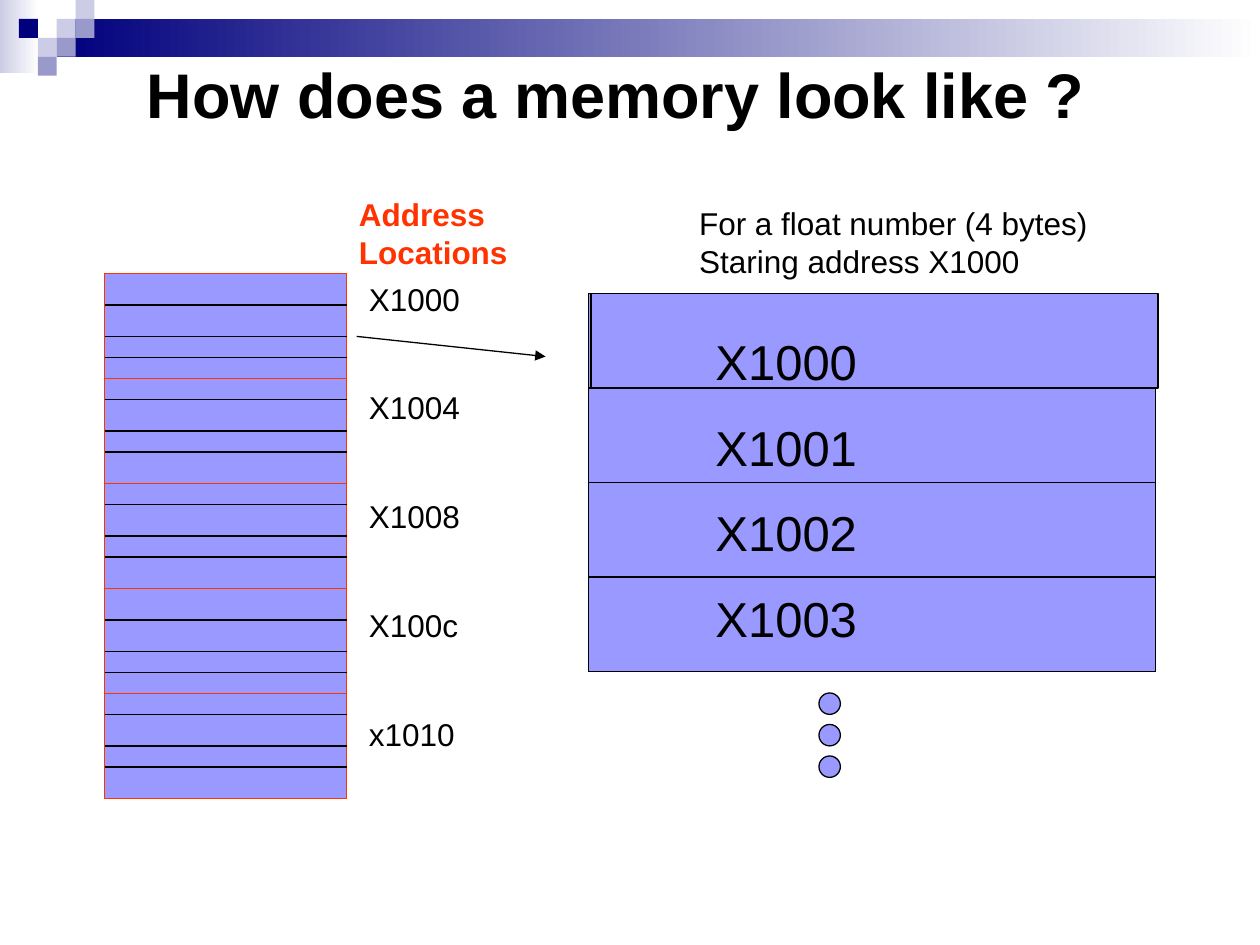
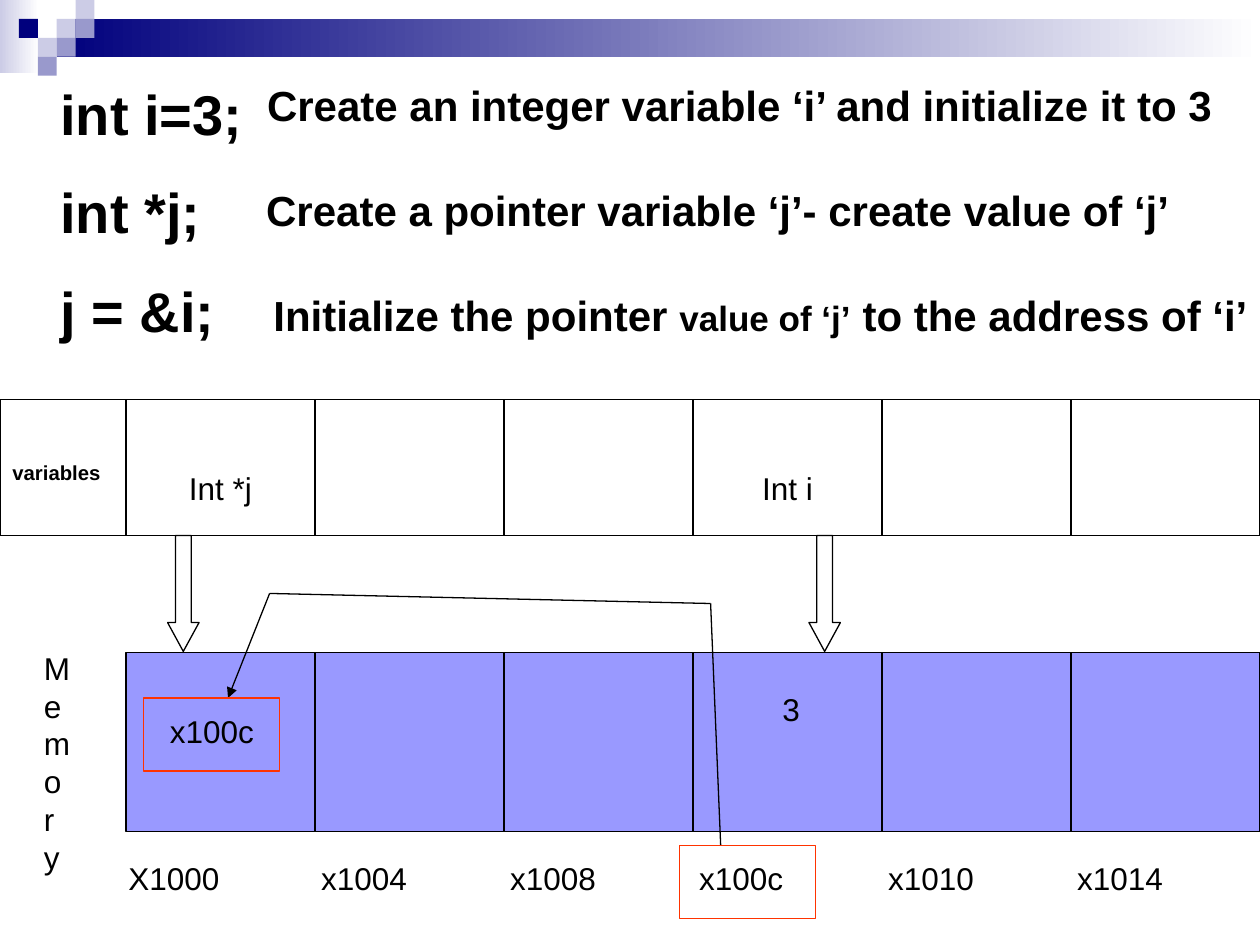
from lxml.etree import SubElement
from pptx import Presentation
from pptx.dml.color import RGBColor
from pptx.enum.shapes import MSO_CONNECTOR, MSO_SHAPE
from pptx.enum.text import MSO_ANCHOR, MSO_AUTO_SIZE, PP_ALIGN
from pptx.oxml.ns import qn
from pptx.util import Inches, Pt

BLACK = RGBColor(0x00, 0x00, 0x00)
WHITE = RGBColor(0xFF, 0xFF, 0xFF)
RED = RGBColor(0xFF, 0x33, 0x00)
MEMORY_BLUE = RGBColor(0x99, 0x99, 0xFF)
NAVY = RGBColor(0x00, 0x00, 0x7D)
LAVENDER = RGBColor(0xCC, 0xCC, 0xE6)
SLATE = RGBColor(0x99, 0x99, 0xCC)

FONT = "Arial"
LINE_WIDTH = Pt(0.75)
TILE = 0.15
TITLE_ONLY, TITLE_AND_CONTENT = 5, 1


# Shared helpers: boxes are (left, top, width, height) in inches
def add_box(slide, box, fill=None, line=None, kind=MSO_SHAPE.RECTANGLE):
    shape = slide.shapes.add_shape(kind, *map(Inches, box))
    shape.shadow.inherit = False
    if fill is None:
        shape.fill.background()
    else:
        shape.fill.solid()
        shape.fill.fore_color.rgb = fill
    if line is None:
        shape.line.fill.background()
    else:
        shape.line.color.rgb = line
        shape.line.width = LINE_WIDTH
    return shape


def add_line(slide, start, end, arrow=False):
    line = slide.shapes.add_connector(
        MSO_CONNECTOR.STRAIGHT, *map(Inches, (*start, *end)))
    line.line.color.rgb = BLACK
    line.line.width = LINE_WIDTH
    if arrow:
        ln = line.element.spPr.find(qn("a:ln"))
        SubElement(ln, qn("a:tailEnd"), type="triangle")
    SubElement(line.element.spPr, qn("a:effectLst"))


def write(shape, paragraphs, size, bold=False, color=BLACK,
          align=PP_ALIGN.LEFT, gap=0, wrap=True):
    """Fill a shape; a paragraph is a string or a list of (text, size) runs."""
    frame = shape.text_frame
    frame.word_wrap = wrap
    frame.auto_size = MSO_AUTO_SIZE.NONE
    frame.vertical_anchor = MSO_ANCHOR.TOP
    for index, content in enumerate(paragraphs):
        paragraph = frame.add_paragraph() if index else frame.paragraphs[0]
        paragraph.alignment = align
        paragraph.space_before = Pt(gap if index else 0)
        runs = [(content, size)] if isinstance(content, str) else content
        for text, run_size in runs:
            run = paragraph.add_run()
            run.text = text
            run.font.name = FONT
            run.font.size = Pt(run_size)
            run.font.bold = bold
            run.font.color.rgb = color


def add_text(slide, box, paragraphs, size, **style):
    label = slide.shapes.add_textbox(*map(Inches, box))
    write(label, paragraphs, size, **style)
    return label


def place(placeholder, box):
    (placeholder.left, placeholder.top,
     placeholder.width, placeholder.height) = map(Inches, box)


# Gradient band and tiles, moved to the master so that every slide has them
def add_master_band(prs, slide):
    parts = []
    for box, color in (((0, 0, 0.31, 0.58), LAVENDER),
                       ((0.45, 0.15, 9.55, 0.3), NAVY)):
        band = add_box(slide, box)
        band.fill.gradient()
        band.fill.gradient_angle = 0
        for stop, stop_color in zip(band.fill.gradient_stops, (color, WHITE)):
            stop.color.rgb = stop_color
        parts.append(band)
    tiles = ((3, 1, LAVENDER), (4, 0, LAVENDER), (4, 1, SLATE),
             (2, 2, LAVENDER), (1, 1, NAVY), (3, 2, SLATE), (2, 3, SLATE))
    for column, row, color in tiles:
        parts.append(add_box(
            slide, (column * TILE, row * TILE, TILE, TILE), color))
    for number, part in enumerate(parts, 100):
        part.element.nvSpPr.cNvPr.id = number
        prs.slide_master.shapes.element.append(part.element)


# Slide 1: the memory column, four bytes to a word
def add_memory_column(slide, left, top, width):
    twelfth = 1 / 12
    word_height = 10 * twelfth
    early, late = (2, 5, 7), (3, 6, 8)
    words = (late, early, early, late, early)
    word_tops = [top + index * word_height for index in range(len(words))]
    for word_top in word_tops:
        add_box(slide, (left, word_top, width, word_height), MEMORY_BLUE, RED)
    for word_top, dividers in zip(word_tops, words):
        for divider in dividers:
            y = word_top + divider * twelfth
            add_line(slide, (left, y), (left + width, y))

    # Addresses beside the column
    add_text(slide, (left + width, top - 0.67, 2.25, 0.7),
             ["Address Locations"], 18, bold=True, color=RED)
    add_text(slide, (left + width + 0.08, top, 1.25, 4.01),
             ["X1000", "X1004", "X1008", "X100c", "x1010"], 18, gap=40.6)


# Slide 1: the bytes of one word, enlarged
def add_float_bytes(slide, left, top, width):
    byte_height = 0.75
    add_box(slide, (left, top, width, 4 * byte_height), MEMORY_BLUE, BLACK)
    for index in range(4):
        nudge = 0 if index else 0.02
        add_box(slide, (left + nudge, top + index * byte_height,
                        width, byte_height), MEMORY_BLUE, BLACK)
    add_text(slide, (left + 0.91, top + 0.25, 2.5, 2.67),
             ["X1000", "X1001", "X1002", "X1003"], 28, gap=15.4)
    for index in range(3):
        add_box(slide, (left + 1.83, top + 3.17 + index * 0.25, 0.17, 0.17),
                MEMORY_BLUE, BLACK, MSO_SHAPE.OVAL)
    add_text(slide, (left + 0.78, top - 0.76, 3.28, 0.7),
             ["For a float number (4 bytes)", "Staring address X1000"],
             18, wrap=False)


def build_memory_slide(slide):
    title = slide.shapes.title
    place(title, (1, 0.39, 7.78, 0.7))
    write(title, ["How does a memory look like ?"], 36, bold=True,
          align=PP_ALIGN.CENTER)
    add_memory_column(slide, 0.83, 2.17, 1.92)
    add_float_bytes(slide, 4.67, 2.33, 4.5)
    add_line(slide, (2.83, 2.67), (4.33, 2.83), arrow=True)


# Slide 2: statements with their explanations
def add_statements(slide, left, top):
    title, statements = slide.placeholders
    title.element.getparent().remove(title.element)
    place(statements, (left, top, 3.84, 2.23))
    write(statements, ["int i=3;", "int *j;", "j = &i;"], 32,
          bold=True, gap=17.8)
    for p in statements.element.iter(qn("a:p")):
        properties = p.get_or_add_pPr()
        properties.set("marL", "0")
        properties.set("indent", "0")
        SubElement(properties, qn("a:buNone"))

    explanations = (
        (9.72, "Create an integer variable ‘i’ and initialize it to 3"),
        (9.38, "Create a pointer variable ‘j’- create value of ‘j’"),
        (10, [("Initialize the pointer ", 24), ("value of ‘j’", 20),
              (" to the address of ‘i’", 24)]))
    for index, (right, explanation) in enumerate(explanations):
        add_text(slide, (right - 8.08, top + index * 0.835, 8.08, 0.49),
                 [explanation], 24, bold=True, align=PP_ALIGN.RIGHT)


# Slide 2: row of variable names
def add_variables_row(slide, left, top, cell_left, cell_width):
    height = 1.08
    caption = add_text(slide, (left, top + 0.25, 1.08, 0.32),
                       ["variables"], 20, bold=True)
    for properties in caption.element.iter(qn("a:rPr")):
        properties.set("baseline", "-25000")
    add_box(slide, (left, top, 10, height), line=BLACK)
    for column in range(6):
        x = cell_left + column * cell_width
        add_line(slide, (x, top + height), (x, top))
    for column, variable, arrow_offset in ((0, "Int *j", 0.33),
                                           (3, "Int i", 0.92)):
        x = cell_left + column * cell_width
        add_text(slide, (x, top + 0.5, cell_width, 0.4), [variable], 18,
                 align=PP_ALIGN.CENTER)
        arrow = add_box(slide, (x + arrow_offset, top + height, 0.25, 0.92),
                        line=BLACK, kind=MSO_SHAPE.DOWN_ARROW)
        arrow.adjustments[0] = 0.5
        arrow.adjustments[1] = 0.917


# Slide 2: memory cells with values and addresses
def add_memory_row(slide, left, top, cell_width):
    for column in range(6):
        add_box(slide, (left + column * cell_width, top, cell_width, 1.42),
                MEMORY_BLUE, BLACK)
    addresses = ["X1000", "x1004", "x1008", "x100c", "x1010", "x1014"]
    address_row = add_text(slide, (left - 0.08, top + 1.59, 9.08, 0.4),
                           ["\t".join(addresses)], 18)
    properties = next(address_row.element.iter(qn("a:p"))).get_or_add_pPr()
    tabs = SubElement(properties, qn("a:tabLst"))
    for column in range(1, 6):
        SubElement(tabs, qn("a:tab"), algn="l",
                   pos=str(Inches(column * cell_width + 0.03)))
    add_text(slide, (left + 3 * cell_width + 0.03, top + 0.25,
                     cell_width, 0.4), ["3"], 18, align=PP_ALIGN.CENTER)
    add_text(slide, (left - 0.75, top - 0.08, 0.33, 1.91), ["Memory"], 18)

    # Pointer from the address of i to the value of j
    add_text(slide, (left + 0.25, top + 0.42, 1, 0.4), ["x100c"], 18)
    route = [(left + x, top + y) for x, y in
             ((4.72, 1.53), (4.64, -0.39), (1.14, -0.47), (0.81, 0.36))]
    for start, end in zip(route, route[1:]):
        add_line(slide, start, end, arrow=end == route[-1])
    for x, y in ((4.39, 1.53), (0.14, 0.36)):
        add_box(slide, (left + x, top + y, 1.08, 0.58), line=RED)


def build_pointer_slide(slide):
    cell_left, cell_width = 1, 1.5
    add_statements(slide, 0.38, 0.58)
    add_memory_row(slide, cell_left, 5.18, cell_width)
    add_variables_row(slide, 0, 3.17, cell_left, cell_width)


def main():
    prs = Presentation()
    prs.slide_width, prs.slide_height = Inches(10), Inches(7.5)
    memory_slide = prs.slides.add_slide(prs.slide_layouts[TITLE_ONLY])
    add_master_band(prs, memory_slide)
    build_memory_slide(memory_slide)
    build_pointer_slide(
        prs.slides.add_slide(prs.slide_layouts[TITLE_AND_CONTENT]))
    prs.save("out.pptx")


if __name__ == "__main__":
    main()
